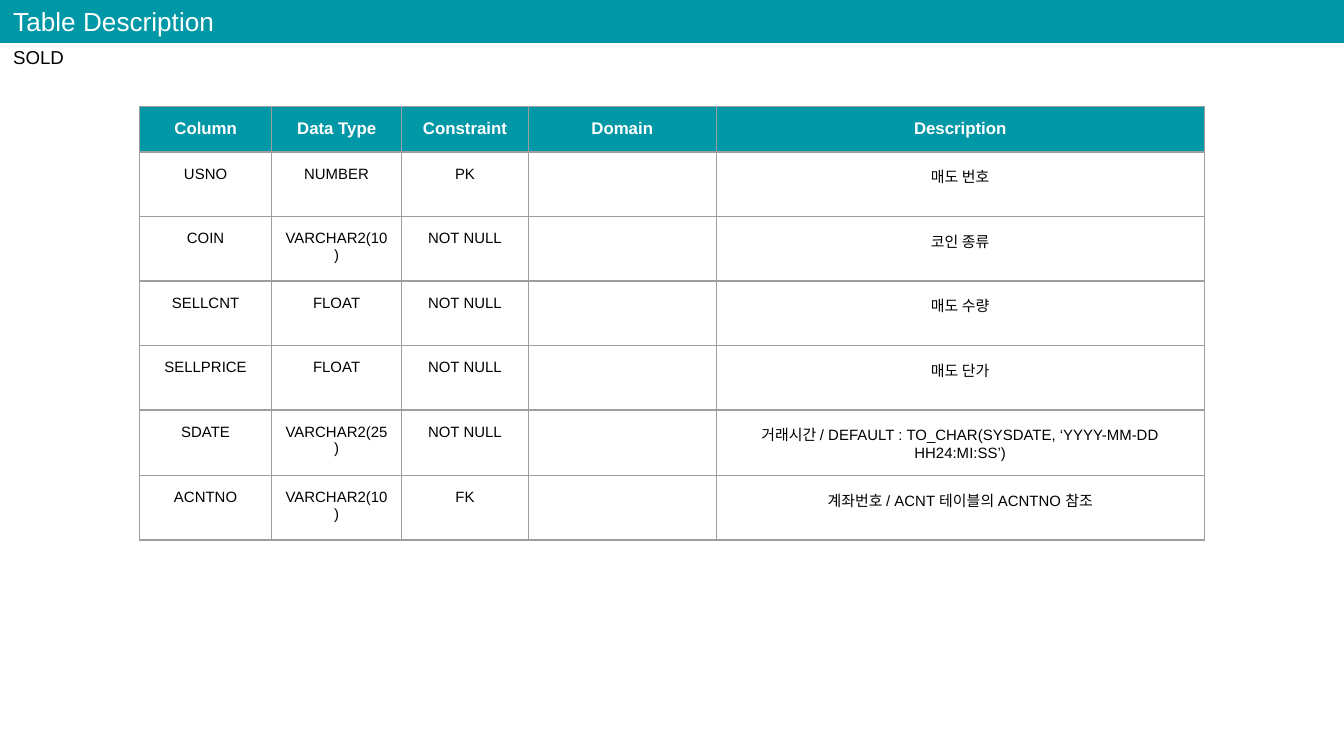
from lxml import etree
from pptx import Presentation
from pptx.dml.color import RGBColor
from pptx.enum.shapes import MSO_SHAPE
from pptx.enum.text import MSO_AUTO_SIZE, PP_ALIGN
from pptx.oxml.ns import qn
from pptx.util import Inches, Pt

RECTANGLE = MSO_SHAPE.RECTANGLE
CENTER = PP_ALIGN.CENTER
FIT_SHAPE = MSO_AUTO_SIZE.SHAPE_TO_FIT_TEXT

TEAL = RGBColor(0x00, 0x97, 0xA7)
WHITE = RGBColor(0xFF, 0xFF, 0xFF)
BLACK = RGBColor(0x00, 0x00, 0x00)
GRAY = RGBColor(0x9E, 0x9E, 0x9E)

FONT = "Arial"
SLIDE_WIDTH = 10
SLIDE_HEIGHT = SLIDE_WIDTH * 9 / 16
MARGIN = Inches(0.1)
HEADER_HEIGHT = 0.34
BODY_HEIGHT = 0.48
COLUMN_WIDTHS = [0.98, 0.97, 0.94, 1.4, 3.63]
HEADER = ["Column", "Data Type", "Constraint", "Domain", "Description"]
COLUMNS = [
    ["USNO", "NUMBER", "PK", "", "매도 번호"],
    ["COIN", "VARCHAR2(10)", "NOT NULL", "", "코인 종류"],
    ["SELLCNT", "FLOAT", "NOT NULL", "", "매도 수량"],
    ["SELLPRICE", "FLOAT", "NOT NULL", "", "매도 단가"],
    ["SDATE", "VARCHAR2(25)", "NOT NULL", "",
     "거래시간 / DEFAULT : TO_CHAR(SYSDATE, ‘YYYY-MM-DD HH24:MI:SS’)"],
    ["ACNTNO", "VARCHAR2(10)", "FK", "", "계좌번호 / ACNT 테이블의 ACNTNO 참조"],
]


def style_font(font, size, color, bold=False):
    font.name = FONT
    font.size = Pt(size)
    font.bold = bold
    font.color.rgb = color


def set_margins(box):
    """Give a cell or text frame equal margins on all sides."""
    box.margin_left = box.margin_right = MARGIN
    box.margin_top = box.margin_bottom = MARGIN


def add_label(slide, text, top, height, size, color):
    label = slide.shapes.add_textbox(0, Inches(top), Inches(2.82), Inches(height))
    frame = label.text_frame
    frame.word_wrap = True
    frame.auto_size = FIT_SHAPE
    set_margins(frame)
    frame.text = text
    style_font(frame.paragraphs[0].font, size, color)


def add_title_bar(slide):
    bar = slide.shapes.add_shape(RECTANGLE, 0, 0, Inches(SLIDE_WIDTH), Inches(0.32))
    bar.shadow.inherit = False
    bar.fill.solid()
    bar.fill.fore_color.rgb = TEAL
    bar.line.fill.background()


def add_borders(cell):
    properties = cell._tc.get_or_add_tcPr()
    for side in ("a:lnL", "a:lnR", "a:lnT", "a:lnB"):
        line = etree.SubElement(properties, qn(side), w=str(Pt(0.75)))
        fill = etree.SubElement(line, qn("a:solidFill"))
        etree.SubElement(fill, qn("a:srgbClr"), val=str(GRAY))


def fill_cell(cell, text, is_header):
    set_margins(cell)
    add_borders(cell)
    if is_header:
        cell.fill.solid()
        cell.fill.fore_color.rgb = TEAL
    else:
        cell.fill.background()
    cell.text = text
    paragraph = cell.text_frame.paragraphs[0]
    paragraph.alignment = CENTER
    if is_header:
        style_font(paragraph.font, 9, WHITE, bold=True)
    else:
        style_font(paragraph.font, 8, BLACK)


def add_column_table(slide):
    rows = [HEADER] + COLUMNS
    heights = [HEADER_HEIGHT] + [BODY_HEIGHT] * len(COLUMNS)
    table = slide.shapes.add_table(
        len(rows), len(HEADER), Inches(1.04), Inches(0.79),
        Inches(sum(COLUMN_WIDTHS)), Inches(sum(heights))).table
    table.first_row = False
    table.horz_banding = False
    for column, width in zip(table.columns, COLUMN_WIDTHS):
        column.width = Inches(width)
    for index, (row, height, texts) in enumerate(zip(table.rows, heights, rows)):
        row.height = Inches(height)
        for cell, text in zip(row.cells, texts):
            fill_cell(cell, text, is_header=index == 0)


def main():
    presentation = Presentation()
    presentation.slide_width = Inches(SLIDE_WIDTH)
    presentation.slide_height = Inches(SLIDE_HEIGHT)
    slide = presentation.slides.add_slide(presentation.slide_layouts[6])
    add_column_table(slide)
    add_label(slide, "SOLD", 0.26, 0.37, 10, BLACK)
    add_title_bar(slide)
    add_label(slide, "Table Description", -0.06, 0.44, 14, WHITE)
    presentation.save("out.pptx")


if __name__ == "__main__":
    main()
